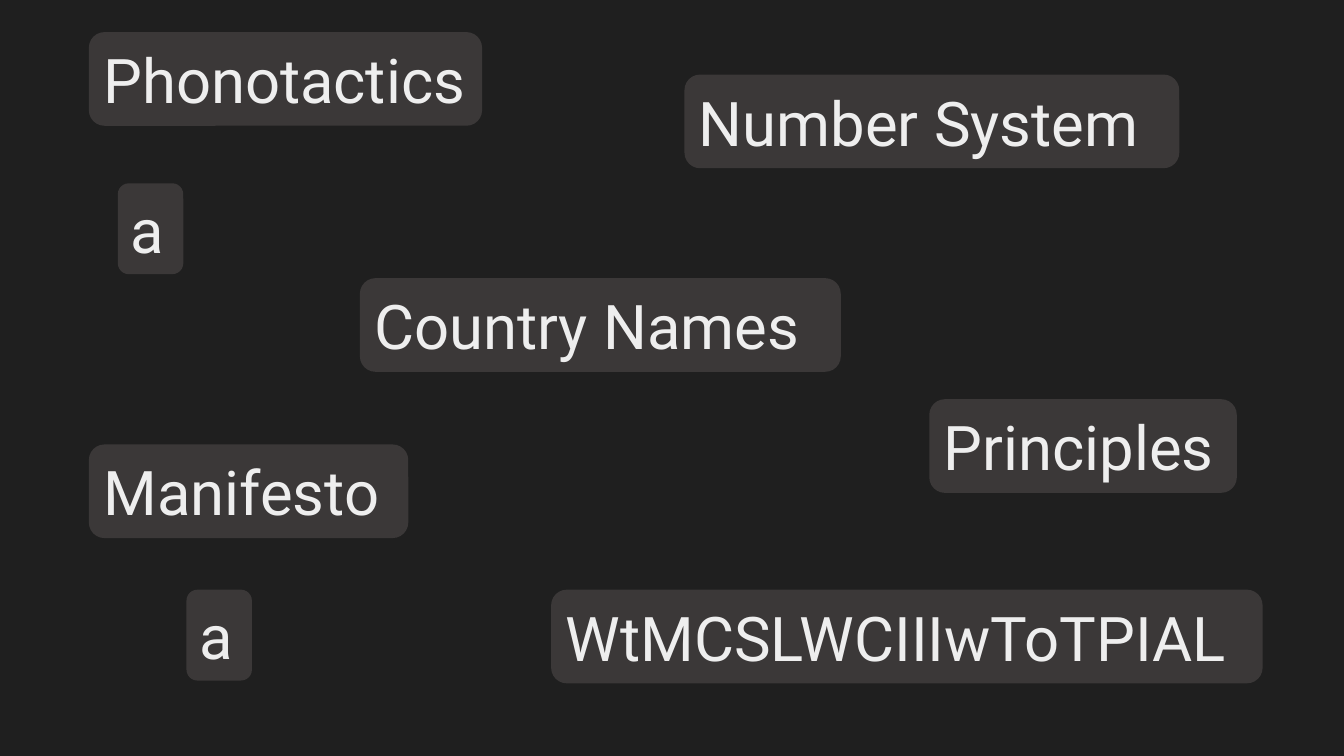
from pptx import Presentation
from pptx.dml.color import RGBColor
from pptx.enum.shapes import MSO_SHAPE
from pptx.enum.text import MSO_ANCHOR, MSO_AUTO_SIZE, PP_ALIGN
from pptx.util import Cm, Pt

BACKGROUND = RGBColor(0x1F, 0x1F, 0x1F)
LABEL_FILL = RGBColor(0x3B, 0x38, 0x38)
LABEL_TEXT = RGBColor(0xEE, 0xEE, 0xEE)

WORD_HEIGHT = 2.36
LETTER_WIDTH, LETTER_HEIGHT = 1.65, 2.29

# Text, left, top, width in centimetres
WORDS = [
    ("Country Names", 9.07, 7.01, 12.12),
    ("Phonotactics", 2.24, 0.81, 9.91),
    ("WtMCSLWCIIIwToTPIAL", 13.89, 14.86, 17.93),
    ("Number System", 17.25, 1.88, 12.47),
    ("Manifesto", 2.24, 11.2, 8.05),
    ("Principles", 23.42, 10.06, 7.75),
]
LETTERS = [("a", 2.97, 4.62), ("a", 4.7, 14.86)]


class LabelPage:
    font_name = "Roboto"
    font_size = Pt(44)

    def __init__(self, deck):
        self.page = deck.slides.add_slide(deck.slide_layouts[6])
        fill = self.page.background.fill
        fill.solid()
        fill.fore_color.rgb = BACKGROUND

    def label(self, text, left, top, width, height):
        box = self.page.shapes.add_shape(
            MSO_SHAPE.ROUNDED_RECTANGLE, Cm(left), Cm(top), Cm(width), Cm(height)
        )
        box.shadow.inherit = False
        box.fill.solid()
        box.fill.fore_color.rgb = LABEL_FILL
        box.line.fill.background()
        frame = box.text_frame
        frame.word_wrap = False
        frame.auto_size = MSO_AUTO_SIZE.SHAPE_TO_FIT_TEXT
        frame.vertical_anchor = MSO_ANCHOR.MIDDLE
        para = frame.paragraphs[0]
        para.text = text
        para.alignment = PP_ALIGN.LEFT
        para.font.name = self.font_name
        para.font.size = self.font_size
        para.font.color.rgb = LABEL_TEXT


def main():
    deck = Presentation()
    deck.slide_width, deck.slide_height = Cm(33.87), Cm(19.05)
    page = LabelPage(deck)
    for text, left, top, width in WORDS:
        page.label(text, left, top, width, WORD_HEIGHT)
    for text, left, top in LETTERS:
        page.label(text, left, top, LETTER_WIDTH, LETTER_HEIGHT)
    deck.save("out.pptx")


if __name__ == "__main__":
    main()
